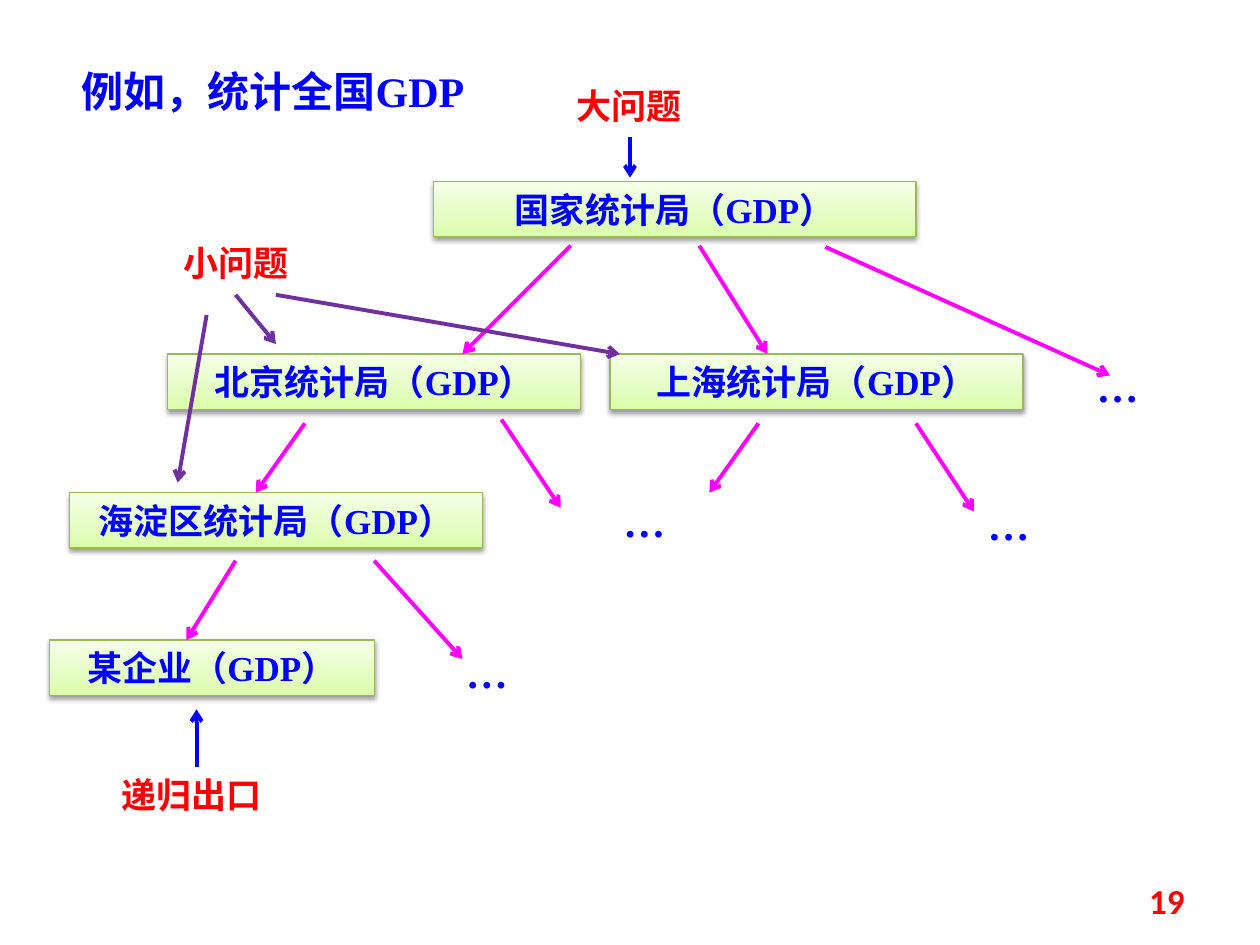
import pptx
import pptx.util
import pptx.dml.color
import pptx.enum.shapes
import pptx.enum.text
import pptx.oxml
import pptx.oxml.ns

Inches, Pt = pptx.util.Inches, pptx.util.Pt
ALIGN = pptx.enum.text.PP_ALIGN
NS = pptx.oxml.ns.nsdecls("a")
SERIF = "Times New Roman"

COLORS = {
    "blue": "0000FF", "red": "FF0000", "pink": "FF00FF", "purple": "7030A0",
    "edge": "98B955", "low": "DAFDA7", "mid": "E4FCC2", "high": "F5FFE7",
}

TITLE = ("例如，统计全国GDP", 0.55, 0.47, 3.52)
BOXES = [
    ("国家统计局（GDP）", 3.44, 1.44, 3.83),
    ("北京统计局（GDP）", 1.33, 2.81, 3.28),
    ("上海统计局（GDP）", 4.84, 2.81, 3.28),
    ("海淀区统计局（GDP）", 0.55, 3.91, 3.28),
    ("某企业（GDP）", 0.39, 5.08, 2.58),
]
DOTS = [(8.44, 2.81, 0.86), (4.53, 3.88, 1.17), (7.42, 3.91, 1.17), (3.28, 5.08, 1.17)]
NOTES = [
    ("大问题", 4.37, 0.62, 1.25),
    ("小问题", 1.25, 1.87, 1.25),
    ("递归出口", 0.7, 6.09, 1.64),
]
ARROWS = {
    "pink": [
        (4.53, 1.95, 3.67, 2.81), (5.55, 1.95, 6.09, 2.81), (6.55, 1.96, 8.81, 2.98),
        (2.42, 3.36, 2.03, 3.91), (3.98, 3.33, 4.45, 4.03),
        (6.02, 3.36, 5.63, 3.91), (7.27, 3.36, 7.73, 4.06),
        (1.87, 4.45, 1.48, 5.08), (2.97, 4.45, 3.67, 5.23),
    ],
    "blue": [(5, 1.09, 5, 1.41), (1.56, 6.09, 1.56, 5.63)],
    "purple": [
        (1.87, 2.34, 2.19, 2.73), (2.19, 2.34, 4.92, 2.81), (1.64, 2.5, 1.41, 3.83),
    ],
}
PAGE = ("19", 7.17, 6.95, 2.33)

GRAD = f'<a:gradFill {NS} rotWithShape="1"><a:gsLst>' + "".join(
    f'<a:gs pos="{pos * 1000}"><a:srgbClr val="{COLORS[name]}"/></a:gs>'
    for pos, name in [(0, "low"), (35, "mid"), (100, "high")]
) + '</a:gsLst><a:lin ang="16200000" scaled="0"/></a:gradFill>'
SHADE = (f'<a:outerShdw {NS} blurRad="{Pt(3.1)}" dist="{Pt(1.6)}" dir="5400000" '
         'rotWithShape="0"><a:srgbClr val="000000"><a:alpha val="38000"/>'
         '</a:srgbClr></a:outerShdw>')


def paint(name):
    return pptx.dml.color.RGBColor.from_string(COLORS[name])


def write(shape, text, size, color, align, font=SERIF):
    frame = shape.text_frame
    frame.word_wrap = True
    frame.text = text
    para = frame.paragraphs[0]
    para.alignment = align
    for run in para.runs:
        run.font.name = font
        run.font.size = Pt(size)
        run.font.bold = True
        run.font.color.rgb = paint(color)


def label(slide, item, high, size, color, align=ALIGN.CENTER, font=SERIF):
    text, left, top, wide = item
    shape = slide.shapes.add_textbox(*map(Inches, (left, top, wide, high)))
    write(shape, text, size, color, align, font)
    return shape


def box(slide, text, left, top, wide):
    shape = slide.shapes.add_shape(
        pptx.enum.shapes.MSO_SHAPE.RECTANGLE, *map(Inches, (left, top, wide, 0.44)))
    shape.line.color.rgb = paint("edge")
    shape.line.width = Pt(0.75)
    shape.shadow.inherit = False
    props = shape._element.spPr
    props.find(pptx.oxml.ns.qn("a:prstGeom")).addnext(pptx.oxml.parse_xml(GRAD))
    props.find(pptx.oxml.ns.qn("a:effectLst")).append(pptx.oxml.parse_xml(SHADE))
    write(shape, text, 20, "blue", ALIGN.CENTER)


def arrow(slide, color, ends):
    line = slide.shapes.add_connector(
        pptx.enum.shapes.MSO_CONNECTOR.STRAIGHT, *map(Inches, ends))
    line.line.color.rgb = paint(color)
    line.line.width = Pt(2.25)
    line.line._get_or_add_ln().append(
        pptx.oxml.parse_xml(f'<a:tailEnd {NS} type="arrow"/>'))
    line._element.spPr.append(pptx.oxml.parse_xml(f"<a:effectLst {NS}/>"))


def main():
    deck = pptx.Presentation()
    deck.slide_width, deck.slide_height = Inches(10), Inches(7.5)
    slide = deck.slides.add_slide(deck.slide_layouts[6])
    label(slide, TITLE, 0.5, 24, "blue", ALIGN.LEFT)
    for item in BOXES:
        box(slide, *item)
    for spot in DOTS:
        label(slide, ("…", *spot), 0.5, 24, "blue")
    for item in NOTES:
        label(slide, item, 0.44, 20, "red")
    for color, group in ARROWS.items():
        for ends in group:
            arrow(slide, color, ends)
    page = label(slide, PAGE, 0.4, 20, "red", ALIGN.RIGHT, "Calibri")
    page.text_frame.vertical_anchor = pptx.enum.text.MSO_ANCHOR.MIDDLE
    deck.save("out.pptx")


if __name__ == "__main__":
    main()
